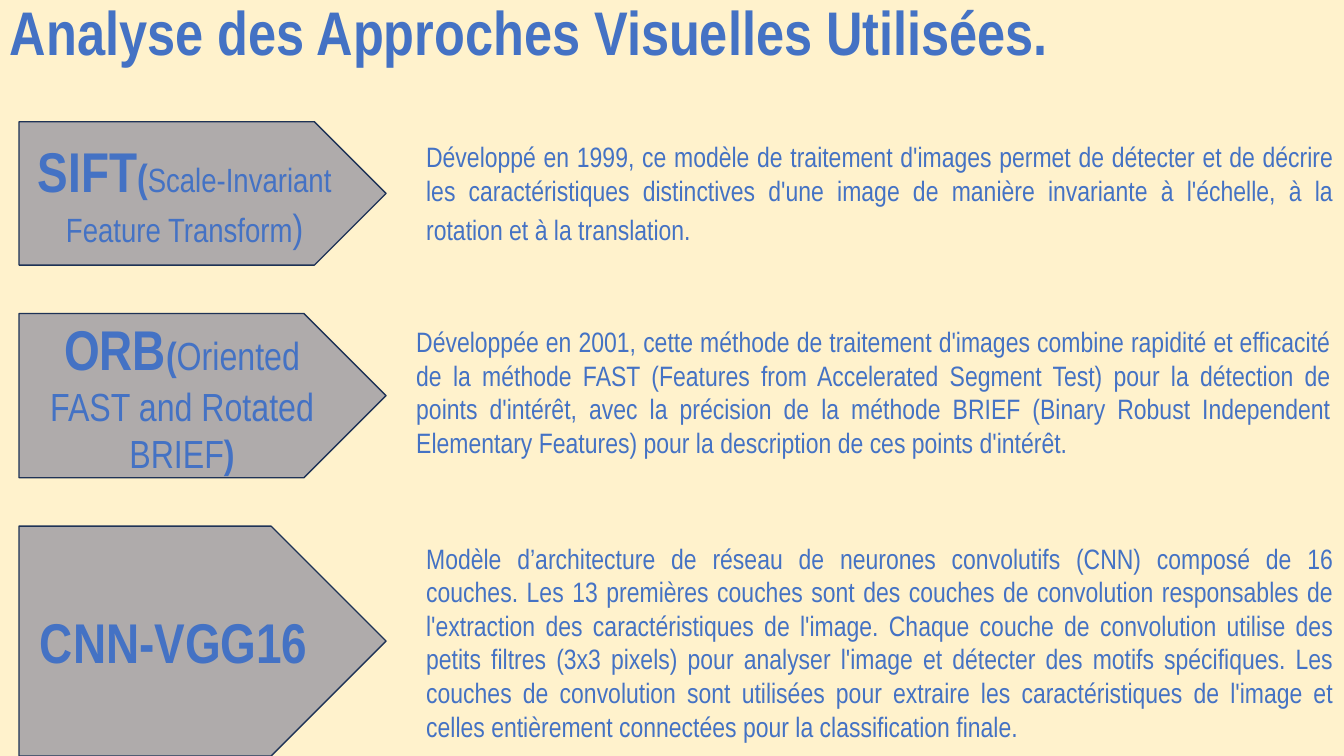
from dataclasses import dataclass

from pptx import Presentation
from pptx.dml.color import RGBColor
from pptx.enum.shapes import MSO_SHAPE
from pptx.enum.text import MSO_ANCHOR, MSO_AUTO_SIZE, PP_ALIGN
from pptx.util import Cm, Pt


@dataclass(frozen=True)
class Theme:
    font: str = "Arial Narrow"
    text: RGBColor = RGBColor(0x44, 0x72, 0xC4)
    paper: RGBColor = RGBColor(0xFF, 0xF2, 0xCC)
    arrow: RGBColor = RGBColor(0xAF, 0xAB, 0xAB)
    outline: RGBColor = RGBColor(0x1E, 0x32, 0x56)
    title: int = 44
    name: int = 40
    bracket: int = 28
    small: int = 24
    body: int = 20


class SlideBuilder:
    """Draws the elements of one slide in a shared style."""

    def __init__(self, presentation, theme):
        self.theme = theme
        self.slide = presentation.slides.add_slide(presentation.slide_layouts[5])

    def place(self, shape, box):
        for name, value in zip(("left", "top", "width", "height"), box):
            setattr(shape, name, Cm(value))

    def fill(self, shape, color):
        shape.fill.solid()
        shape.fill.fore_color.rgb = color

    def add_text(self, shape, runs, alignment, anchor=MSO_ANCHOR.MIDDLE):
        frame_format = {
            "word_wrap": True,
            "auto_size": MSO_AUTO_SIZE.NONE,
            "vertical_anchor": anchor,
        }
        for name, value in frame_format.items():
            setattr(shape.text_frame, name, value)
        paragraph = shape.text_frame.paragraphs[0]
        paragraph.alignment = alignment
        for text, size, bold in runs:
            run = paragraph.add_run()
            run.text = text
            run_format = {"name": self.theme.font, "size": Pt(size), "bold": bold}
            for name, value in run_format.items():
                setattr(run.font, name, value)
            run.font.color.rgb = self.theme.text
        return paragraph

    def title(self, text, box):
        shape = self.slide.shapes.title
        self.place(shape, box)
        self.fill(shape, self.theme.paper)
        runs = [(text, self.theme.title, True)]
        paragraph = self.add_text(shape, runs, PP_ALIGN.LEFT, MSO_ANCHOR.TOP)
        paragraph.line_spacing = 0.9
        shape.text_frame.margin_left = Cm(0.25)
        shape.text_frame.margin_top = Cm(0.53)

    def block(self, preset, box, color, runs, alignment):
        shape = self.slide.shapes.add_shape(preset, *map(Cm, box))
        shape.shadow.inherit = False
        self.fill(shape, color)
        shape.line.fill.background()
        self.add_text(shape, runs, alignment)
        return shape

    def arrow(self, top, height, runs):
        box = (0.48, top, 9.25, height)
        shape = self.block(MSO_SHAPE.PENTAGON, box, self.theme.arrow, runs, PP_ALIGN.CENTER)
        shape.line.color.rgb = self.theme.outline
        shape.line.width = Pt(1)

    def description(self, box, runs):
        self.block(MSO_SHAPE.RECTANGLE, box, self.theme.paper, runs, PP_ALIGN.JUSTIFY)


def main():
    presentation = Presentation()
    presentation.slide_width = Cm(33.87)
    presentation.slide_height = Cm(19.05)
    theme = Theme()
    builder = SlideBuilder(presentation, theme)
    builder.title("Analyse des Approches Visuelles Utilisées.", (0, -0.46, 34.06, 19.53))

    approaches = [
        (
            (3.07, 3.61),
            [
                ("SIFT", theme.name, True),
                ("(", theme.bracket, True),
                ("Scale-Invariant Feature Transform", theme.small, False),
                (")", theme.bracket, False),
            ],
            (10.49, 3.07, 23.37, 3.61),
            [
                (
                    "Développé en 1999, ce modèle de traitement d'images permet de détecter "
                    "et de décrire les caractéristiques distinctives d'une image de manière "
                    "invariante à l'échelle, à la rotation et à la translation.",
                    theme.body,
                    False,
                ),
                (" ", theme.small, False),
            ],
        ),
        (
            (7.9, 4.14),
            [
                ("ORB", theme.name, True),
                ("(", theme.bracket, True),
                ("Oriented FAST and Rotated BRIEF", theme.bracket, False),
                (")", theme.bracket, True),
            ],
            (10.24, 7.9, 23.55, 3.94),
            [
                (
                    "Développée en 2001, cette méthode de traitement d'images combine rapidité "
                    "et efficacité de la méthode FAST (Features from Accelerated Segment Test) "
                    "pour la détection de points d'intérêt, avec la précision de la méthode "
                    "BRIEF (Binary Robust Independent Elementary Features) pour la description "
                    "de ces points d'intérêt.",
                    theme.body,
                    False,
                )
            ],
        ),
        (
            (13.26, 5.79),
            [("CNN-VGG16", theme.name, True)],
            (10.49, 13.28, 23.37, 5.79),
            [
                (
                    "Modèle d’architecture de réseau de neurones convolutifs (CNN) composé de "
                    "16 couches. Les 13 premières couches sont des couches de convolution "
                    "responsables de l'extraction des caractéristiques de l'image. Chaque "
                    "couche de convolution utilise des petits filtres (3x3 pixels) pour "
                    "analyser l'image et détecter des motifs spécifiques. Les couches de "
                    "convolution sont utilisées pour extraire les caractéristiques de l'image "
                    "et celles entièrement connectées pour la classification finale.",
                    theme.body,
                    False,
                )
            ],
        ),
    ]
    for (top, height), name_runs, box, description_runs in approaches:
        builder.arrow(top, height, name_runs)
        builder.description(box, description_runs)

    presentation.save("out.pptx")


if __name__ == "__main__":
    main()
